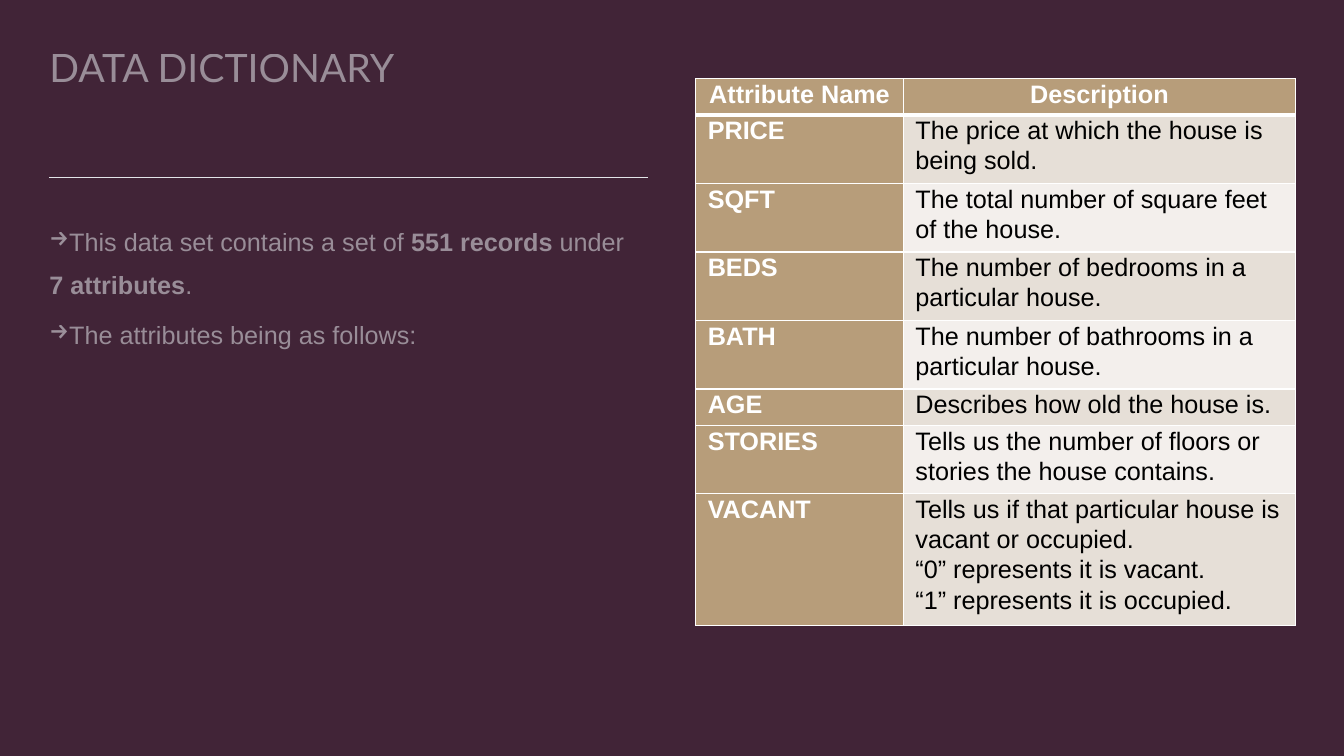
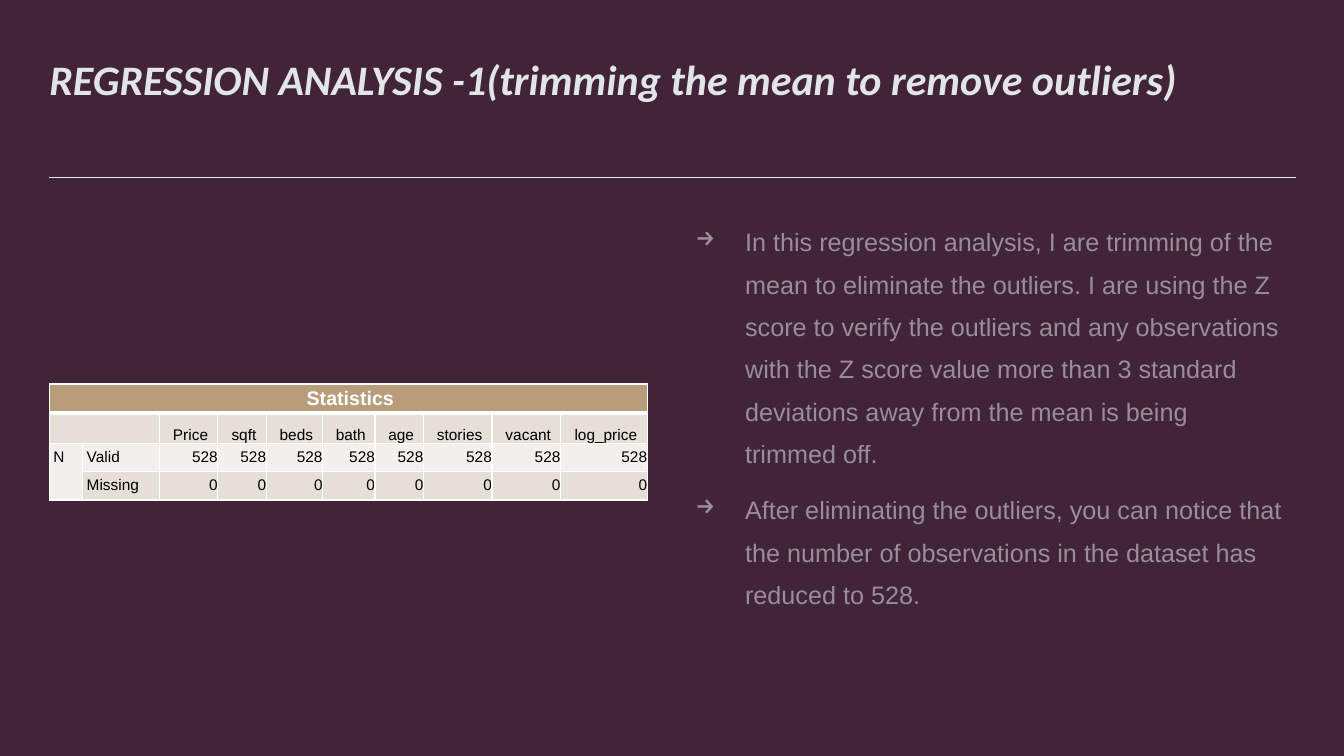
from dataclasses import dataclass

from lxml.etree import SubElement
from pptx import Presentation
from pptx.dml.color import RGBColor
from pptx.enum.text import MSO_ANCHOR, PP_ALIGN
from pptx.oxml.ns import qn
from pptx.util import Inches, Pt

PLUM = RGBColor(0x41, 0x24, 0x37)
PALE = RGBColor(0xE2, 0xE5, 0xE8)
TAN = RGBColor(0xB7, 0x9D, 0x7A)
SAND = RGBColor(0xE6, 0xDF, 0xD7)
CREAM = RGBColor(0xF3, 0xEF, 0xEC)
WHITE = RGBColor(0xFF, 0xFF, 0xFF)
BLACK = RGBColor(0x00, 0x00, 0x00)

LEFT, MID, HALF, FULL = 0.49, 6.9, 5.94, 12.36
RULE_Y, BODY_Y, BODY_H = 1.76, 2.13, 4.38
HANG = 0.49
FADE = 55


@dataclass(frozen=True)
class Style:
    size: float
    color: RGBColor
    font: str = "Arial"
    bold: bool = False
    italic: bool = False
    alpha: int = 100


@dataclass(frozen=True)
class Span:
    text: str
    bold: bool = False


@dataclass(frozen=True)
class Look:
    """How one table cell is set."""
    style: Style
    fill: RGBColor
    align: PP_ALIGN = PP_ALIGN.LEFT
    anchor: MSO_ANCHOR = MSO_ANCHOR.TOP
    inset: float = 0
    indent: float = 0
    space: float | Pt = 1.07
    under: float = 1


BODY = Style(18, PALE, alpha=FADE)

TERMS = [
    ("Attribute Name", "Description"),
    ("PRICE", "The price at which the house is being sold."),
    ("SQFT", "The total number of square feet of the house."),
    ("BEDS", "The number of bedrooms in a particular house."),
    ("BATH", "The number of bathrooms in a particular house."),
    ("AGE", "Describes how old the house is."),
    ("STORIES", "Tells us the number of floors or stories the house contains."),
    ("VACANT", "Tells us if that particular house is vacant or occupied.\n"
               "“0” represents it is vacant.\n“1” represents it is occupied."),
]
FIELDS = ["Price", "sqft", "beds", "bath", "age", "stories", "vacant", "log_price"]
STATS = [
    ["Statistics"] + [""] * 9,
    ["", ""] + FIELDS,
    ["N", "Valid"] + ["528"] * len(FIELDS),
    ["", "Missing"] + ["0"] * len(FIELDS),
]
SUMMARY = [
    [Span("This data set contains a set of "), Span("551 records", True),
     Span(" under "), Span("7 attributes", True), Span(".")],
    [Span("The attributes being as follows:")],
]
METHOD = [
    [Span("In this regression analysis, I are trimming of the mean to eliminate "
          "the outliers. I are using the Z score to verify the outliers and any "
          "observations with the Z score value more than 3 standard deviations "
          "away from the mean is being trimmed off.")],
    [Span("After eliminating the outliers, you can notice that the number of "
          "observations in the dataset has reduced to 528.")],
]


def add_run(para, text: str, style: Style, bold: bool = False) -> None:
    run = para.add_run()
    run.text = text
    font = run.font
    font.name, font.size = style.font, Pt(style.size)
    font.bold, font.italic = style.bold or bold, style.italic
    font.color.rgb = style.color
    if style.alpha < 100:
        tint = run._r.rPr.find(qn("a:solidFill"))[0]
        SubElement(tint, qn("a:alpha"), val=str(style.alpha * 1000))


def add_box(slide, left: float, top: float, width: float, height: float,
            right: float = 0):
    box = slide.shapes.add_textbox(
        Inches(left), Inches(top), Inches(width), Inches(height))
    frame = box.text_frame
    frame.word_wrap = True
    frame.margin_left = frame.margin_top = frame.margin_bottom = 0
    frame.margin_right = Inches(right)
    return frame


def add_head(slide, text: str, top: float, width: float, style: Style) -> None:
    """Draw the title and the rule below it."""
    frame = add_box(slide, LEFT, top, width, 0.94)
    add_run(frame.paragraphs[0], text, style)
    rule = slide.shapes.add_connector(
        1, Inches(LEFT), Inches(RULE_Y), Inches(LEFT + width), Inches(RULE_Y))
    rule.line.color.rgb = PALE
    rule.line.width = Pt(0.5)
    SubElement(rule._element.spPr, qn("a:effectLst"))


def add_list(slide, left: float, items: list[list[Span]], margin: float,
             before: float = 0, after: float = 0) -> None:
    frame = add_box(slide, left, BODY_Y, HALF, BODY_H, 0.1)
    for i, spans in enumerate(items):
        para = frame.add_paragraph() if i else frame.paragraphs[0]
        para.line_spacing = 1.4
        para.space_before, para.space_after = Pt(before), Pt(after)
        props = para._p.get_or_add_pPr()
        props.set("marL", str(Inches(margin)))
        props.set("indent", str(-Inches(HANG)))
        SubElement(props, qn("a:buChar"), char="→")
        for span in spans:
            add_run(para, span.text, BODY, span.bold)


def set_edges(cell, under: float) -> None:
    props = cell._tc.get_or_add_tcPr()
    for side, width in (("L", 1), ("R", 1), ("T", 1), ("B", under)):
        edge = SubElement(props, qn(f"a:ln{side}"), w=str(Pt(width)))
        fill = SubElement(edge, qn("a:solidFill"))
        SubElement(fill, qn("a:srgbClr"), val=str(WHITE))


def fill_cell(cell, text: str, look: Look) -> None:
    set_edges(cell, look.under)
    cell.fill.solid()
    cell.fill.fore_color.rgb = look.fill
    cell.margin_left = cell.margin_right = Inches(look.inset)
    cell.margin_top = cell.margin_bottom = 0
    cell.vertical_anchor = look.anchor
    frame = cell.text_frame
    for i, line in enumerate(text.split("\n")):
        para = frame.add_paragraph() if i else frame.paragraphs[0]
        para.alignment, para.line_spacing = look.align, look.space
        para._p.get_or_add_pPr().set("marL", str(Inches(look.indent)))
        if line:
            add_run(para, line, look.style)


def add_grid(slide, left: float, top: float, cols: list[float],
             rows: list[float], data, pick):
    """Draw a table; pick(row, col) gives the look of each cell."""
    table = slide.shapes.add_table(
        len(rows), len(cols), Inches(left), Inches(top),
        Inches(sum(cols)), Inches(sum(rows))).table
    for col, width in zip(table.columns, cols):
        col.width = Inches(width)
    for row, height in zip(table.rows, rows):
        row.height = Inches(height)
    for r, line in enumerate(data):
        for c, text in enumerate(line):
            fill_cell(table.cell(r, c), text, pick(r, c))
    return table


def band(row: int) -> RGBColor:
    return SAND if row % 2 else CREAM


def term_look(row: int, col: int) -> Look:
    head = row == 0
    key = head or col == 0
    return Look(
        Style(18, WHITE if key else BLACK, bold=key),
        TAN if key else band(row),
        PP_ALIGN.CENTER if head else PP_ALIGN.LEFT,
        inset=0.12, under=3 if head else 1)


def stat_look(row: int, col: int) -> Look:
    space, indent = Pt(16), 0.04
    if row == 0:
        return Look(Style(14, WHITE, bold=True), TAN, PP_ALIGN.CENTER,
                    MSO_ANCHOR.MIDDLE, 0, indent, space, 3)
    label = row == 1
    side = PP_ALIGN.RIGHT if col > 1 else PP_ALIGN.LEFT
    return Look(Style(11, BLACK), band(row),
                PP_ALIGN.CENTER if label else side,
                MSO_ANCHOR.BOTTOM if label else MSO_ANCHOR.TOP,
                0, indent, space)


def add_page(deck):
    slide = deck.slides.add_slide(deck.slide_layouts[6])
    slide.background.fill.solid()
    slide.background.fill.fore_color.rgb = PLUM
    return slide


def add_terms(deck) -> None:
    slide = add_page(deck)
    add_head(slide, "DATA DICTIONARY", 0.43, HALF,
             Style(28, PALE, "Lato", alpha=FADE))
    add_list(slide, LEFT, SUMMARY, 0, after=6)
    rows = [0.36] + [0.68] * 4 + [0.36, 0.68, 1.31]
    add_grid(slide, MID, 0.78, [2.06, 3.89], rows, TERMS, term_look)


def add_stats(deck) -> None:
    slide = add_page(deck)
    add_head(slide, "REGRESSION ANALYSIS -1(trimming the mean to remove outliers)",
             0.53, FULL, Style(30, PALE, "Calibri", True, True))
    add_list(slide, MID, METHOD, HANG, before=10)
    cols = [0.33, 0.76, 0.58, 0.48, 0.56, 0.52, 0.48, 0.68, 0.68, 0.86]
    table = add_grid(slide, LEFT, 3.81, cols, [0.29, 0.3, 0.28, 0.28],
                     STATS, stat_look)
    for start, end in (((0, 0), (0, 9)), ((1, 0), (1, 1)), ((2, 0), (3, 0))):
        table.cell(*start).merge(table.cell(*end))


def main() -> None:
    deck = Presentation()
    deck.slide_width, deck.slide_height = Inches(13.33), Inches(7.5)
    add_terms(deck)
    add_stats(deck)
    deck.save("out.pptx")


if __name__ == "__main__":
    main()
